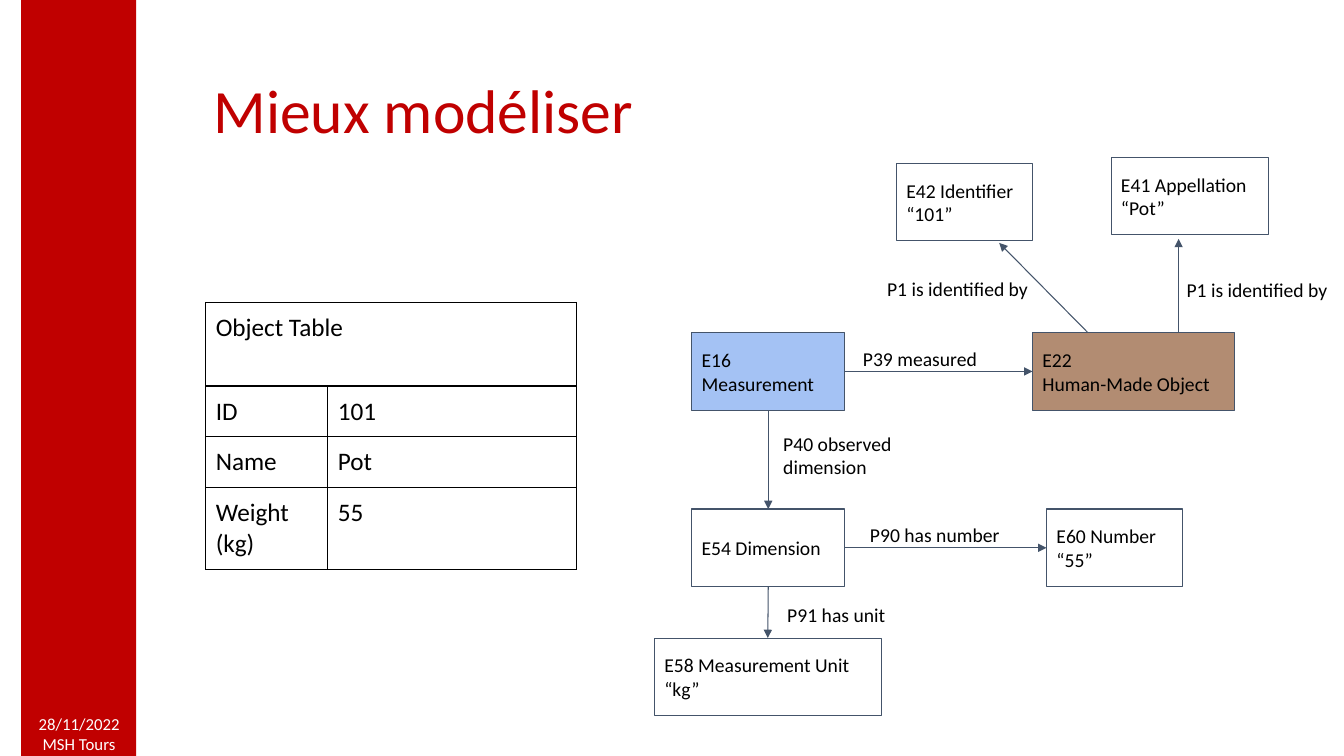
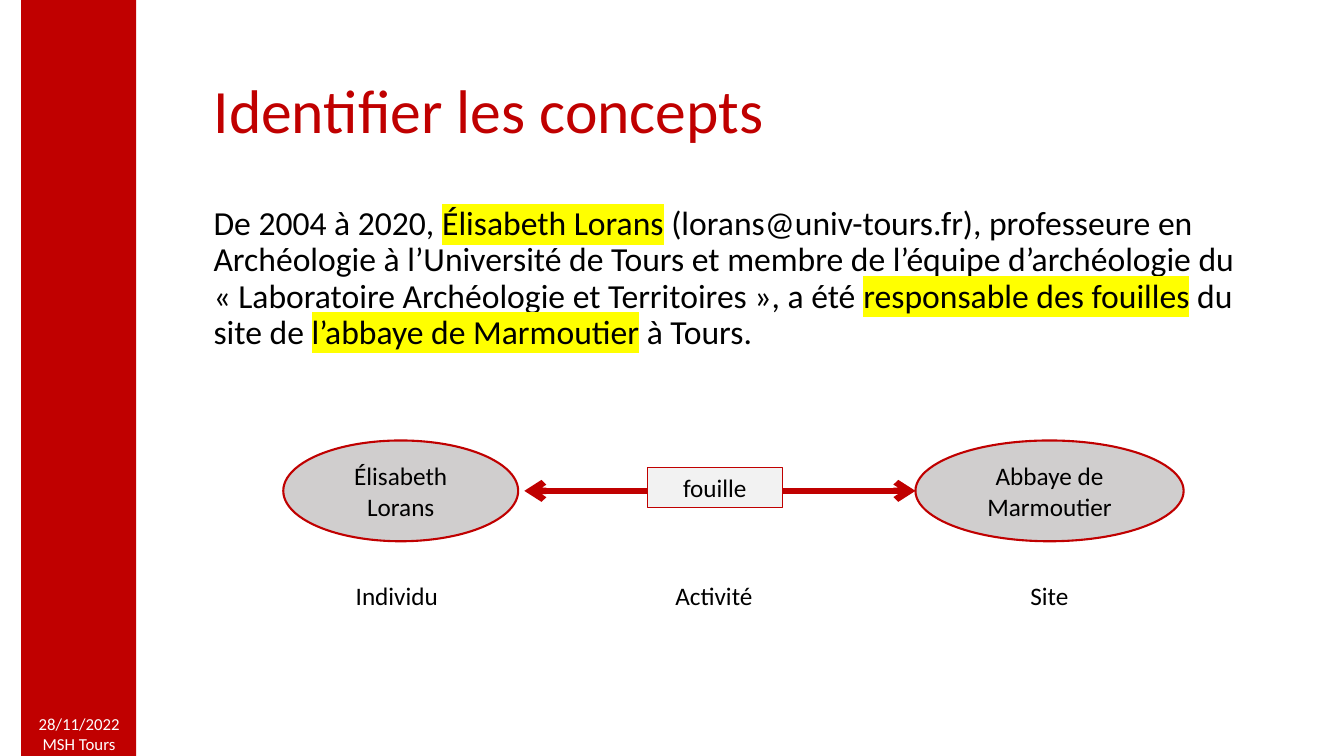
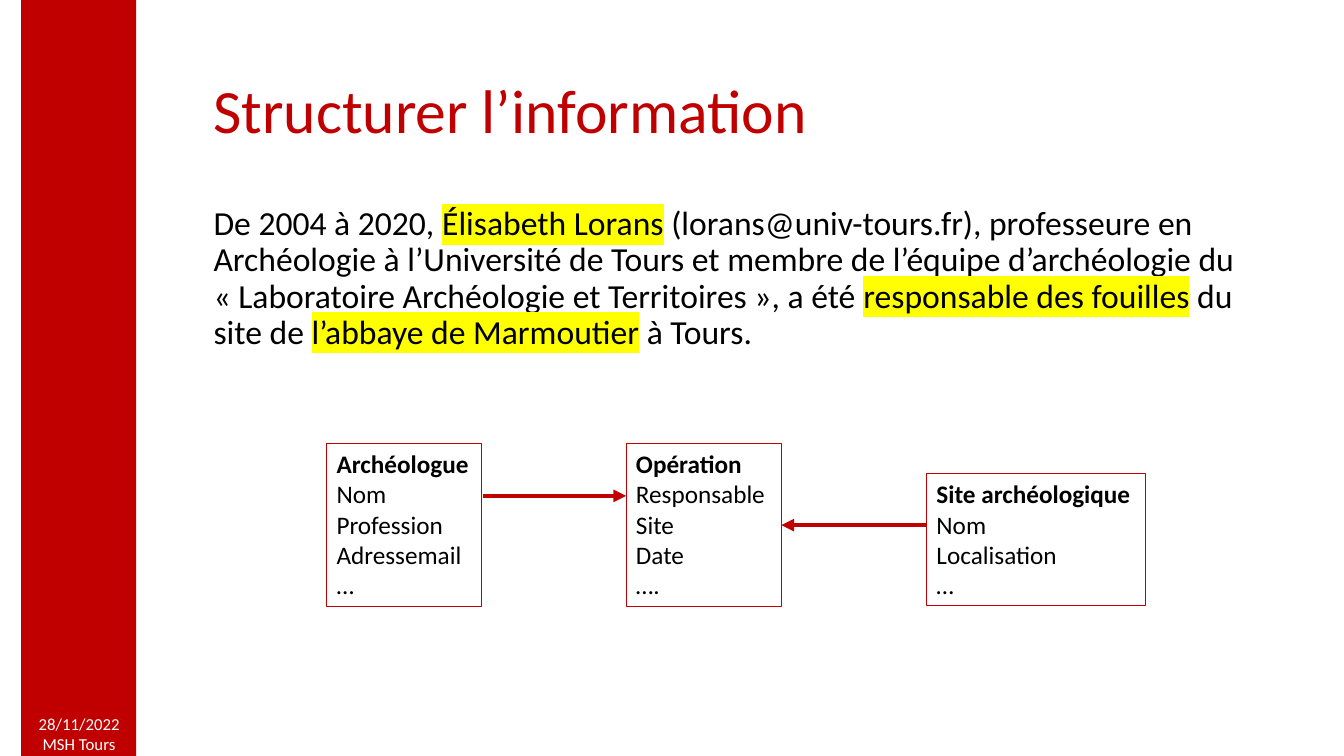
from lxml import etree
from pptx import Presentation, util as u
from pptx.dml.color import RGBColor
from pptx.enum import shapes, text
from pptx.oxml.ns import qn

COLORS = {
    "red": "C00000", "white": "FFFFFF", "black": "000000", "slate": "44546A",
    "blue": "A4C2F4", "brown": "B28C72", "gray": "D0CECE", "light": "F2F2F2",
    "yellow": "FFFF00",
}
FONT = "Calibri"
EVEN = (0.1, 0.1, 0.1, 0.1)
LEFT, CENTER = text.PP_ALIGN.LEFT, text.PP_ALIGN.CENTER
TOP, MIDDLE = text.MSO_ANCHOR.TOP, text.MSO_ANCHOR.MIDDLE
RECTANGLE, OVAL = shapes.MSO_SHAPE.RECTANGLE, shapes.MSO_SHAPE.OVAL
SIDE_BOTTOM, SIDE_TOP, SIDE_LEFT, SIDE_RIGHT = 2, 0, 1, 3


def rgb(name):
    return RGBColor.from_string(COLORS[name])


def write(frame, paragraphs, size=18, color="black", align=LEFT, anchor=TOP,
          spacing=1.0, insets=(0.1, 0.05, 0.1, 0.05), wrap=True, bold_first=False):
    """Fill a frame; a paragraph is a string or a list of (text, highlight)."""
    frame.word_wrap = wrap
    frame.vertical_anchor = anchor
    (frame.margin_left, frame.margin_top,
     frame.margin_right, frame.margin_bottom) = map(u.Inches, insets)
    for index, content in enumerate(paragraphs):
        paragraph = frame.paragraphs[0] if index == 0 else frame.add_paragraph()
        paragraph.alignment = align
        paragraph.line_spacing = spacing
        runs = [(content, None)] if isinstance(content, str) else content
        for words, highlight in runs:
            run = paragraph.add_run()
            run.text = words
            run.font.size = u.Pt(size)
            run.font.name = FONT
            run.font.bold = bold_first and index == 0
            run.font.color.rgb = rgb(color)
            if highlight:
                mark = etree.Element(qn("a:highlight"))
                etree.SubElement(mark, qn("a:srgbClr"), val=COLORS[highlight])
                run.font._element.find(qn("a:solidFill")).addnext(mark)


class Deck:
    def __init__(self):
        self.presentation = Presentation()
        self.presentation.slide_width = u.Inches(13.33)
        self.presentation.slide_height = u.Inches(7.5)
        self.slide = None

    def new_slide(self, title):
        layout = self.presentation.slide_layouts[6]
        self.slide = self.presentation.slides.add_slide(layout)
        self.box(0.21, 0, 1.14, 7.5, fill="red")
        self.label(0.27, 7.03, 1.03, 0.47, ["28/11/2022", "MSH Tours"],
                   size=12, color="white", align=CENTER)
        self.label(2.02, 0.4, 10.4, 1.45, [title], size=44, color="red",
                   anchor=MIDDLE, spacing=0.9)

    def label(self, left, top, width, height, paragraphs, **style):
        shape = self.slide.shapes.add_textbox(*map(u.Inches, (left, top, width, height)))
        write(shape.text_frame, paragraphs, **style)

    def box(self, left, top, width, height, paragraphs=(), kind=RECTANGLE,
            fill=None, line=None, weight=0.75, **style):
        shape = self.slide.shapes.add_shape(
            kind, *map(u.Inches, (left, top, width, height)))
        shape.shadow.inherit = False
        if fill:
            shape.fill.solid()
            shape.fill.fore_color.rgb = rgb(fill)
        else:
            shape.fill.background()
        if line:
            shape.line.color.rgb = rgb(line)
            shape.line.width = u.Pt(weight)
        else:
            shape.line.fill.background()
        write(shape.text_frame, paragraphs, **style)
        return shape

    def node(self, left, top, width, paragraphs, fill=None):
        return self.box(left, top, width, 0.77, paragraphs, fill=fill, line="slate",
                        size=14, anchor=MIDDLE, insets=EVEN)

    def arrow(self, start, end, color="slate", weight=0.75, head=None, tail="triangle"):
        """Each end is a point (x, y) or a joint (rectangle, side)."""
        joints = [not isinstance(place[0], (int, float)) for place in (start, end)]
        points = [(0, 0) if joint else place
                  for joint, place in zip(joints, (start, end))]
        connector = self.slide.shapes.add_connector(
            shapes.MSO_CONNECTOR.STRAIGHT,
            *(u.Inches(value) for point in points for value in point))
        if joints[0]:
            connector.begin_connect(*start)
        if joints[1]:
            connector.end_connect(*end)
        connector.line.color.rgb = rgb(color)
        connector.line.width = u.Pt(weight)
        outline = connector.line._get_or_add_ln()
        for tag, tip in (("a:headEnd", head), ("a:tailEnd", tail)):
            if tip:
                etree.SubElement(outline, qn(tag), type=tip)
        etree.SubElement(connector._element.spPr, qn("a:effectLst"))

    def table(self, left, top, widths, heights, rows):
        table = self.slide.shapes.add_table(
            len(rows), len(widths), u.Inches(left), u.Inches(top),
            u.Inches(sum(widths)), u.Inches(sum(heights))).table
        table.first_row = table.horz_banding = False
        for column, width in zip(table.columns, widths):
            column.width = u.Inches(width)
        for row, height, values in zip(table.rows, heights, rows):
            row.height = u.Inches(height)
            for cell, value in zip(row.cells, values):
                write(cell.text_frame, [value] if value else [])
                (cell.margin_left, cell.margin_top,
                 cell.margin_right, cell.margin_bottom) = map(u.Inches, EVEN)
                properties = cell._tc.get_or_add_tcPr()
                for side in "LRTB":
                    border = etree.SubElement(properties, qn("a:ln" + side),
                                              w=str(u.Pt(1)))
                    paint = etree.SubElement(border, qn("a:solidFill"))
                    etree.SubElement(paint, qn("a:srgbClr"), val=COLORS["black"])
                cell.fill.background()
        return table

    def excavation_text(self):
        self.label(2.02, 2, 10.4, 1.75, [[
            ("De 2004 à 2020, ", None),
            ("Élisabeth Lorans", "yellow"),
            (" (lorans@univ-tours.fr), professeure en Archéologie à l’Université de "
             "Tours et membre de l’équipe d’archéologie du « Laboratoire Archéologie "
             "et Territoires », a été ", None),
            ("responsable des fouilles", "yellow"),
            (" du site de ", None),
            ("l’abbaye de Marmoutier", "yellow"),
            (" à Tours.", None),
        ]], size=24, spacing=0.9)


def modelling_slide(deck):
    deck.new_slide("Mieux modéliser")
    # Object table
    table = deck.table(2.04, 3, (1.21, 2.47), (0.83, 0.49, 0.51, 0.81), [
        ("Object Table", ""), ("ID", "101"), ("Name", "Pot"), ("Weight (kg)", "55")])
    table.cell(0, 0).merge(table.cell(0, 1))
    # Entities
    made_object = deck.node(10.24, 3.3, 2, ["E22", "Human-Made Object"], "brown")
    measurement = deck.node(6.86, 3.3, 1.52, ["E16 Measurement"], "blue")
    dimension = deck.node(6.86, 5.05, 1.52, ["E54 Dimension"])
    number = deck.node(10.38, 5.05, 1.35, ["E60 Number", "“55”"])
    unit = deck.node(6.49, 6.33, 2.25, ["E58 Measurement Unit", "“kg”"])
    deck.node(11.02, 1.56, 1.56, ["E41 Appellation", "“Pot”"])
    deck.node(8.89, 1.62, 1.35, ["E42 Identifier", "“101”"])
    # Relations
    for start, end in (
        ((measurement, SIDE_RIGHT), (made_object, SIDE_LEFT)),
        ((measurement, SIDE_BOTTOM), (dimension, SIDE_TOP)),
        ((dimension, SIDE_RIGHT), (number, SIDE_LEFT)),
        ((dimension, SIDE_BOTTOM), (unit, SIDE_TOP)),
        ((10.79, 3.3), (9.91, 2.41)),
        ((11.69, 3.3), (11.69, 2.37)),
    ):
        deck.arrow(start, end)
    for left, top, width, height, name in (
        (8.46, 3.34, 1.69, 0.71, "P39 measured"),
        (7.67, 4.18, 1.86, 0.81, "P40 observed dimension"),
        (8.53, 5.09, 1.69, 0.73, "P90 has number"),
        (7.71, 5.88, 2.67, 0.4, "P91 has unit"),
        (11.67, 2.66, 1.66, 0.35, "P1 is identified by"),
        (8.7, 2.65, 1.69, 0.35, "P1 is identified by"),
    ):
        deck.label(left, top, width, height, [name], size=14, insets=EVEN)


def concepts_slide(deck):
    deck.new_slide("Identifier les concepts")
    deck.excavation_text()
    # Concepts joined by the activity
    for left, width, name in ((2.81, 2.33, "Élisabeth Lorans"),
                              (9.08, 2.66, "Abbaye de Marmoutier")):
        deck.box(left, 4.37, width, 1, [name], kind=OVAL, fill="gray", line="red",
                 weight=1.5, align=CENTER, anchor=MIDDLE)
    deck.arrow((5.2, 4.87), (9.08, 4.87), "red", 4.5, head="arrow", tail="arrow")
    deck.box(6.42, 4.64, 1.34, 0.4, ["fouille"], fill="light", line="red",
             align=CENTER, anchor=MIDDLE)
    # Categories
    for left, width, name in ((3.43, 1.03, "Individu"), (6.6, 0.98, "Activité"),
                              (10.12, 0.58, "Site")):
        deck.label(left, 5.71, width, 0.4, [name], wrap=False)


def structure_slide(deck):
    deck.new_slide("Structurer l’information")
    deck.excavation_text()
    # Classes and their fields
    classes = [deck.box(*place, fields, line="red", bold_first=True)
               for place, fields in (
        ((3.24, 4.4, 1.54, 1.62),
         ["Archéologue", "Nom", "Profession", "Adressemail", "…"]),
        ((6.21, 4.4, 1.54, 1.62),
         ["Opération", "Responsable", "Site", "Date", "…."]),
        ((9.19, 4.7, 2.17, 1.31),
         ["Site archéologique", "Nom", "Localisation", "…"]),
    )]
    # Links to the operation
    deck.arrow((4.79, 4.92), (6.21, 4.92), "red", 3)
    deck.arrow((9.19, 5.21), (classes[1], SIDE_RIGHT), "red", 3)


def main():
    deck = Deck()
    modelling_slide(deck)
    concepts_slide(deck)
    structure_slide(deck)
    deck.presentation.save("out.pptx")


if __name__ == "__main__":
    main()
